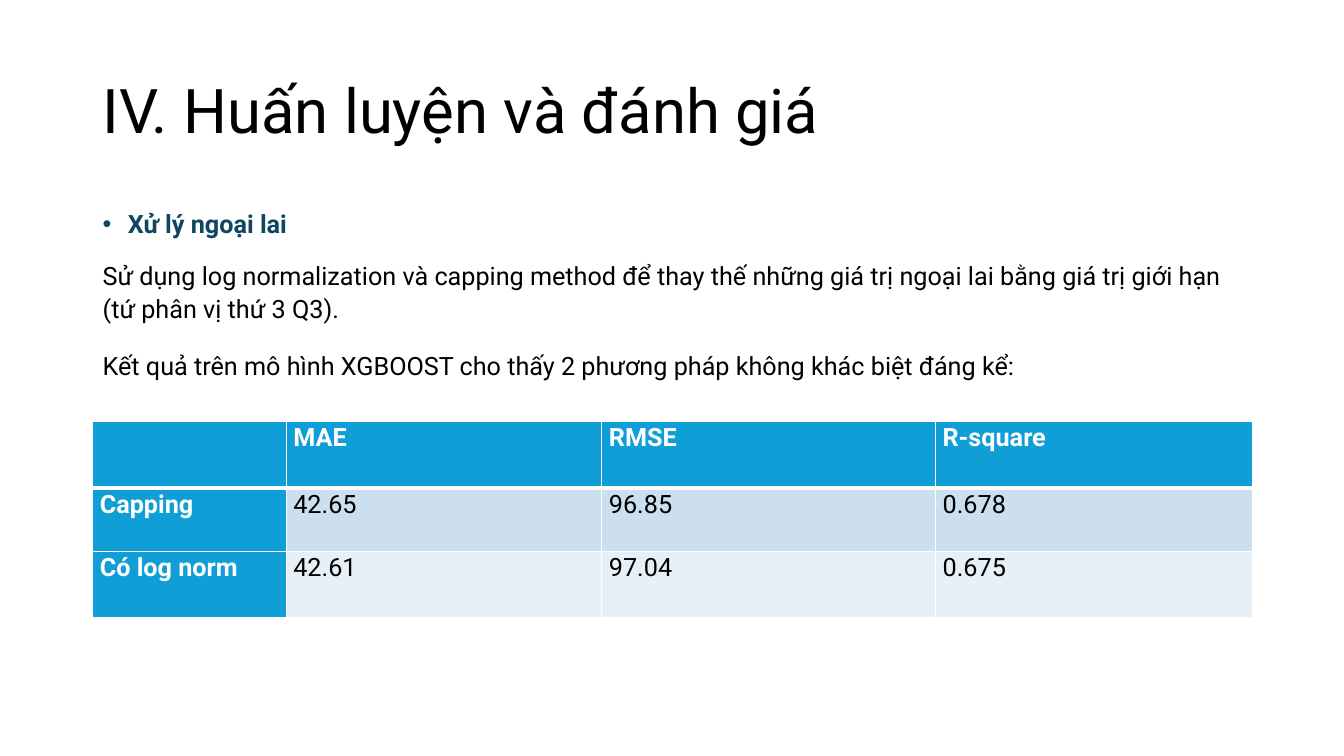
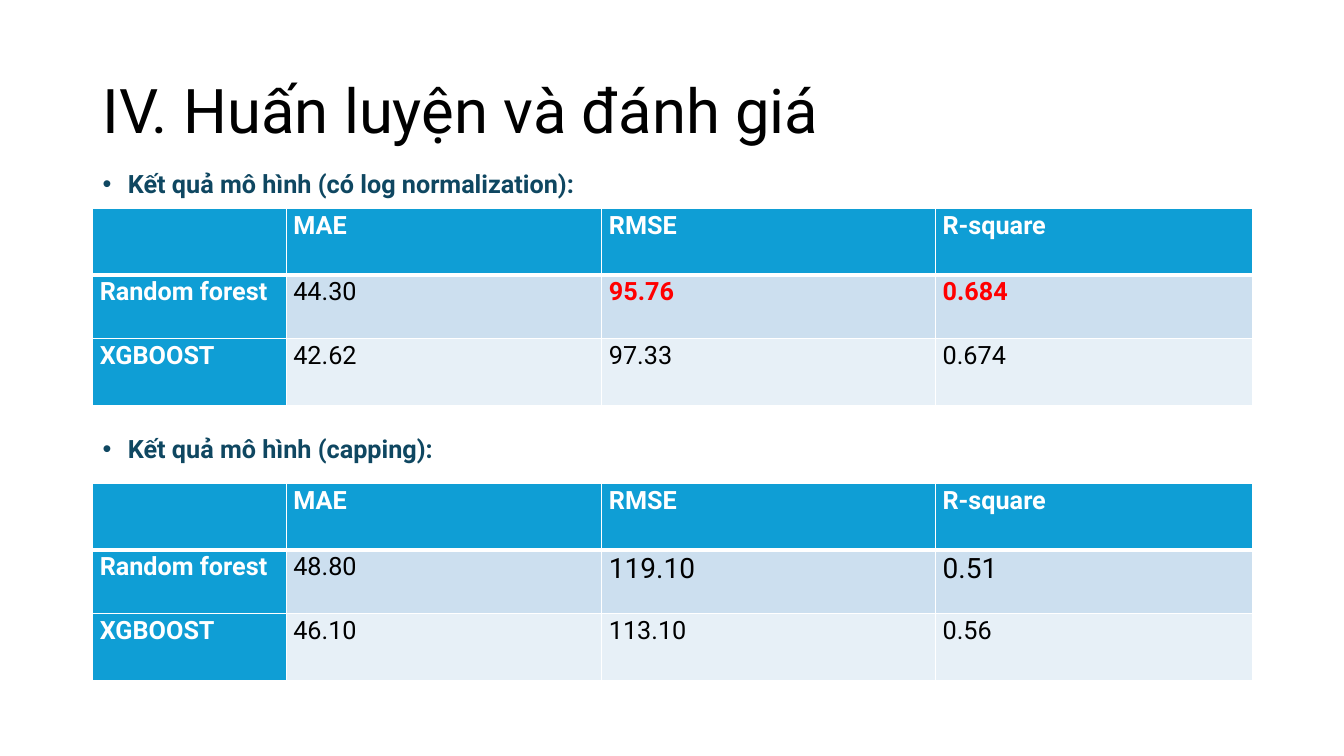
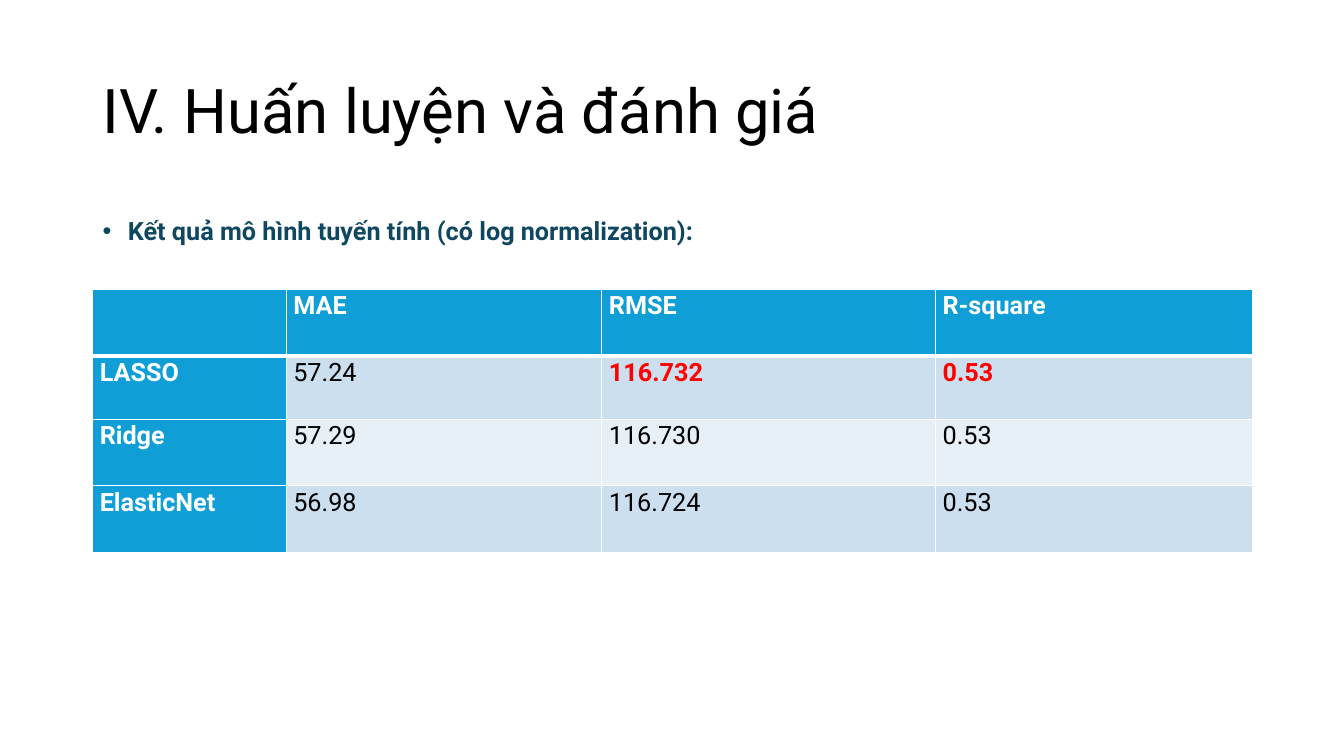
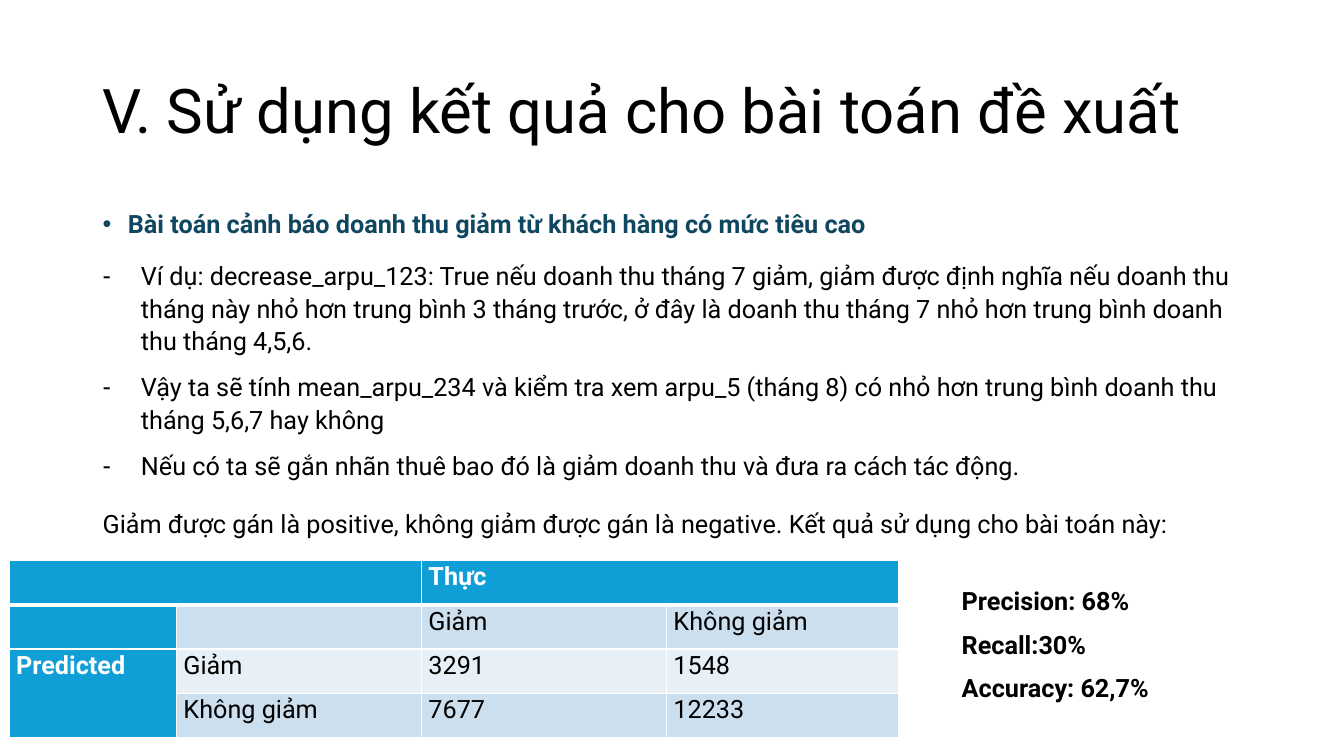
from itertools import product

from lxml.etree import SubElement
from pptx import Presentation
from pptx.dml.color import RGBColor
from pptx.enum.text import MSO_ANCHOR as Anchor
from pptx.oxml.ns import qn
from pptx.util import Emu, Pt

FONT = "Roboto"
BLACK = RGBColor(0x00, 0x00, 0x00)
WHITE = RGBColor(0xFF, 0xFF, 0xFF)
RED = RGBColor(0xFF, 0x00, 0x00)
NAVY = RGBColor(0x0F, 0x47, 0x61)
BLUE = RGBColor(0x0F, 0x9E, 0xD5)
BANDS = RGBColor(0xE7, 0xF0, 0xF7), RGBColor(0xCC, 0xDF, 0xEF)

LEFT, WIDTH = 92, 1150
METRICS = ("", "MAE", "RMSE", "R-square")
METRIC_COLS = (192, 313, 331, 314)
METRIC_ROWS = (66, 63, 66, 66)
BEST = {(1, c): dict(color=RED, bold=True) for c in (2, 3)}
LARGE = {(1, c): dict(size=20) for c in (2, 3)}


def px(n):
    return Emu(n * 9144)


def add_text(tf, text, size=18, color=BLACK, bold=False, spacing=1.07,
             before=0, after=8, bullet=None, indent=0):
    p = tf.paragraphs[0] if not tf.paragraphs[0].runs else tf.add_paragraph()
    p.line_spacing = spacing
    p.space_before, p.space_after = Pt(before), Pt(after)
    if bullet:
        pPr = p._p.get_or_add_pPr()
        pPr.set("marL", str(px(indent)))
        pPr.set("indent", str(px(-indent)))
        SubElement(pPr, qn("a:buFont"), typeface="Arial")
        SubElement(pPr, qn("a:buChar"), char=bullet)
    if text:
        r = p.add_run()
        r.text = text
        r.font.name, r.font.size = FONT, Pt(size)
        r.font.bold, r.font.color.rgb = bold, color


class Deck:
    """Holds the shared style and the current slide."""

    def __init__(self):
        self.prs = Presentation()
        self.prs.slide_width, self.prs.slide_height = px(1333), px(750)

    def slide(self, title):
        self.s = self.prs.slides.add_slide(self.prs.slide_layouts[6])
        tf = self.box(LEFT, 40, WIDTH, 145)
        tf.vertical_anchor = Anchor.MIDDLE
        add_text(tf, title, size=44, spacing=0.9, after=0)

    def box(self, x, y, w, h):
        tf = self.s.shapes.add_textbox(px(x), px(y), px(w), px(h)).text_frame
        tf.word_wrap = True
        return tf

    def body(self, y, heading, h=45):
        tf = self.box(LEFT, y, WIDTH, h)
        add_text(tf, heading, color=NAVY, bold=True, before=8, after=4,
                 bullet="•", indent=25)
        return tf

    def table(self, x, y, cols, heights, rows, merges=(), formats=None):
        table = self.s.shapes.add_table(
            len(rows), len(cols), px(x), px(y),
            px(sum(cols)), px(sum(heights))).table
        for column, w in zip(table.columns, cols):
            column.width = px(w)
        for row, h in zip(table.rows, heights):
            row.height = px(h)
        for r, c in product(range(len(rows)), range(len(cols))):
            label = r == 0 or c == 0
            style = dict(color=WHITE if label else BLACK, bold=label)
            style.update((formats or {}).get((r, c), {}))
            cell = table.cell(r, c)
            self.borders(cell, top=3 if r == 1 else 1,
                         bottom=3 if r == 0 else 1)
            cell.fill.solid()
            cell.fill.fore_color.rgb = BLUE if label else BANDS[r % 2]
            cell.margin_left = cell.margin_right = px(7)
            cell.margin_top = cell.margin_bottom = 0
            add_text(cell.text_frame, rows[r][c], **style)
        for first, last in merges:
            table.cell(*first).merge(table.cell(*last))

    def borders(self, cell, top, bottom):
        tcPr = cell._tc.get_or_add_tcPr()
        for side, width in zip("LRTB", (1, 1, top, bottom)):
            ln = SubElement(tcPr, qn(f"a:ln{side}"), w=str(Pt(width)))
            fill = SubElement(ln, qn("a:solidFill"))
            SubElement(fill, qn("a:srgbClr"), val=str(WHITE))

    def metrics(self, y, *rows, formats=None):
        self.table(LEFT, y, METRIC_COLS, METRIC_ROWS[:len(rows) + 1],
                   (METRICS, *rows), formats=formats)


def main():
    deck = Deck()
    training = "IV. Huấn luyện và đánh giá"

    deck.slide(training)
    tf = deck.body(200, "Xử lý ngoại lai", h=200)
    for text in (
        "Sử dụng log normalization và capping method để thay thế những giá trị "
        "ngoại lai bằng giá trị giới hạn (tứ phân vị thứ 3 Q3).",
        "Kết quả trên mô hình XGBOOST cho thấy 2 phương pháp không khác biệt đáng kể:",
    ):
        add_text(tf, text, before=10)
    deck.metrics(418, ("Capping", "42.65", "96.85", "0.678"),
                 ("Có log norm", "42.61", "97.04", "0.675"))

    deck.slide(training)
    deck.body(160, "Kết quả mô hình (có log normalization):")
    deck.metrics(207, ("Random forest", "44.30", "95.76", "0.684"),
                 ("XGBOOST", "42.62", "97.33", "0.674"), formats=BEST)
    deck.body(423, "Kết quả mô hình (capping):")
    deck.metrics(480, ("Random forest", "48.80", "119.10", "0.51"),
                 ("XGBOOST", "46.10", "113.10", "0.56"), formats=LARGE)

    deck.slide(training)
    deck.body(207, "Kết quả mô hình tuyến tính (có log normalization):")
    deck.metrics(287, ("LASSO", "57.24", "116.732", "0.53"),
                 ("Ridge", "57.29", "116.730", "0.53"),
                 ("ElasticNet", "56.98", "116.724", "0.53"), formats=BEST)

    deck.slide("V. Sử dụng kết quả cho bài toán đề xuất")
    tf = deck.body(200, "Bài toán cảnh báo doanh thu giảm từ khách hàng có mức tiêu cao",
                   h=350)
    for text, after in (
        ("Ví dụ: decrease_arpu_123: True nếu doanh thu tháng 7 giảm, giảm được định "
         "nghĩa nếu doanh thu tháng này nhỏ hơn trung bình 3 tháng trước, ở đây là "
         "doanh thu tháng 7 nhỏ hơn trung bình doanh thu tháng 4,5,6.", 0),
        ("Vậy ta sẽ tính mean_arpu_234 và kiểm tra xem arpu_5 (tháng 8) có nhỏ hơn "
         "trung bình doanh thu tháng 5,6,7 hay không", 0),
        ("Nếu có ta sẽ gắn nhãn thuê bao đó là giảm doanh thu và đưa ra cách tác động.", 8),
    ):
        add_text(tf, text, before=10, after=after, bullet="-", indent=38)
    add_text(tf, "Giảm được gán là positive, không giảm được gán là negative. "
             "Kết quả sử dụng cho bài toán này:", before=10)
    deck.table(9, 556, (166, 243, 243, 230), (44,) * 4, (
        ("", "", "Thực", ""),
        ("", "", "Giảm", "Không giảm"),
        ("Predicted", "Giảm", "3291", "1548"),
        ("", "Không giảm", "7677", "12233"),
    ), merges=(((0, 0), (0, 1)), ((0, 2), (0, 3)), ((2, 0), (3, 0))))
    tf = deck.box(944, 574, 283, 129)
    for text in ("Precision: 68%", "Recall:30%", "Accuracy: 62,7%"):
        add_text(tf, text, bold=True)

    deck.prs.save("out.pptx")


if __name__ == "__main__":
    main()
